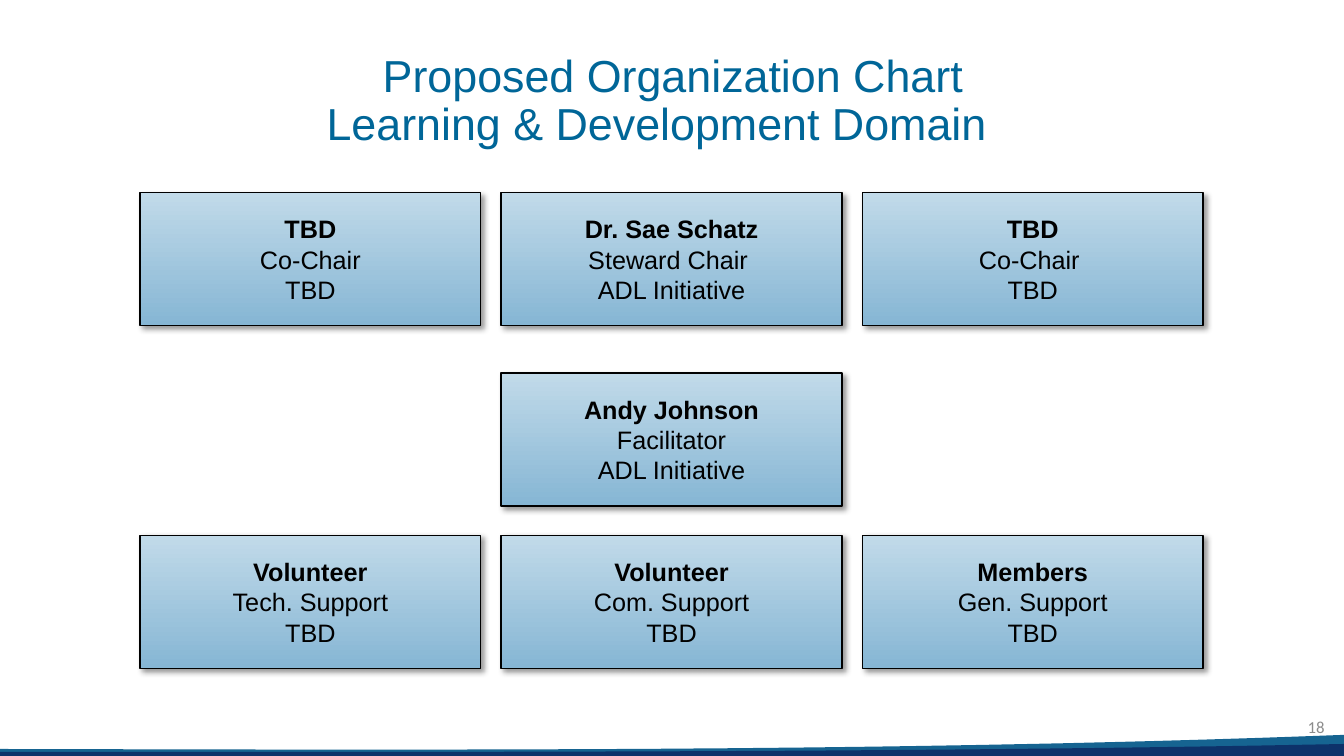
from lxml.etree import SubElement
from pptx import Presentation
from pptx.dml.color import RGBColor
from pptx.enum.shapes import MSO_SHAPE as Shape
from pptx.enum.text import MSO_ANCHOR as Anchor, PP_ALIGN as Align
from pptx.oxml.ns import qn
from pptx.util import Pt

COLORS = {
    "title": "006698", "text": "000000", "number": "8C8C8C",
    "box_bottom": "86B6D4", "box_top": "C1DAE9", "shadow": "000000",
    "wave_light": "166491", "wave_dark": "0D326A",
}
TITLE = ["Proposed Organization Chart ", "Learning & Development Domain\t"]
PAGE_NUMBER = "18"

# Each member: column, name, role, organization
ROWS = [
    (137.5, [(0, "TBD", "Co-Chair", "TBD"),
             (1, "Dr. Sae Schatz", "Steward Chair ", "ADL Initiative"),
             (2, "TBD", "Co-Chair ", "TBD")]),
    (266.4, [(1, "Andy Johnson", "Facilitator", "ADL Initiative")]),
    (382.4, [(0, "Volunteer", "Tech. Support", "TBD"),
             (1, "Volunteer", "Com. Support", "TBD"),
             (2, "Members", "Gen. Support", "TBD")]),
]
# Each wave: colour, heights of the four curve points, bottom
WAVES = [
    ("wave_light", (535, 535.7, 537.1, 524.9), 540),
    ("wave_dark", (537.1, 537.1, 537.8, 531.4), 540),
]
WAVE_X = (0, 314.6, 642.2, 960)
WAVE_STEPS = 48

SLIDE_W, SLIDE_H = 960, 540
BOX_W, BOX_H = 243.4, 95
FIRST_X, COLUMN_PITCH = 100, 258


def rgb(name):
    return RGBColor.from_string(COLORS[name])


def bezier(points, t):
    a, b, c, d = points
    u = 1 - t
    return u**3 * a + 3 * u**2 * t * b + 3 * u * t**2 * c + t**3 * d


def add_wave(slide, color, heights, bottom):
    curve = [(bezier(WAVE_X, i / WAVE_STEPS), bezier(heights, i / WAVE_STEPS))
             for i in range(WAVE_STEPS + 1)]
    points = [(Pt(x), Pt(y)) for x, y in curve + [(SLIDE_W, bottom), (0, bottom)]]
    builder = slide.shapes.build_freeform(*points[0])
    builder.add_line_segments(points[1:], close=True)
    sp = builder.convert_to_shape()
    sp.shadow.inherit = False
    sp.fill.solid()
    sp.fill.fore_color.rgb = rgb(color)
    sp.line.fill.background()


def write_lines(p, lines, color, **font):
    """Write lines, each with its own bold flag, as one paragraph with line breaks."""
    for i, (text, bold) in enumerate(lines):
        if i:
            p.add_line_break()
        r = p.add_run()
        r.text = text
        for name, value in {**font, "bold": bold}.items():
            setattr(r.font, name, value)
        r.font.color.rgb = rgb(color)


def add_label(slide, box, lines, color, align, anchor, **font):
    tf = slide.shapes.add_textbox(*map(Pt, box)).text_frame
    tf.word_wrap = True
    tf.vertical_anchor = anchor
    p = tf.paragraphs[0]
    p.alignment = align
    write_lines(p, [(text, False) for text in lines], color, **font)
    return p


def add_drop_shadow(sp):
    sp.shadow.inherit = False
    effects = sp._element.spPr.find(qn("a:effectLst"))
    shadow = SubElement(effects, qn("a:outerShdw"), blurRad=str(Pt(4)),
                        dist=str(Pt(3)), dir="2700000", algn="tl", rotWithShape="0")
    color = SubElement(shadow, qn("a:srgbClr"), val=COLORS["shadow"])
    SubElement(color, qn("a:alpha"), val="40000")


def add_member(slide, x, y, name, role, organization):
    sp = slide.shapes.add_shape(Shape.RECTANGLE, Pt(x), Pt(y), Pt(BOX_W), Pt(BOX_H))
    sp.fill.gradient()
    sp.fill.gradient_angle = 90
    for stop, color in zip(sp.fill.gradient_stops, ("box_bottom", "box_top")):
        stop.color.rgb = rgb(color)
    sp.line.color.rgb = rgb("text")
    sp.line.width = Pt(1)
    add_drop_shadow(sp)

    tf = sp.text_frame
    frame = {"word_wrap": True, "vertical_anchor": Anchor.MIDDLE,
             "margin_left": Pt(36), "margin_right": Pt(36),
             "margin_top": Pt(7.2), "margin_bottom": Pt(7.2)}
    for key, value in frame.items():
        setattr(tf, key, value)
    p = tf.paragraphs[0]
    p.alignment = Align.CENTER
    p.space_after = Pt(6)
    write_lines(p, [(name, True), (role, False), (organization, False)],
                "text", name="Arial", size=Pt(18))


def main():
    prs = Presentation()
    prs.slide_width, prs.slide_height = Pt(SLIDE_W), Pt(SLIDE_H)
    slide = prs.slides.add_slide(prs.slide_layouts[6])
    for wave in WAVES:
        add_wave(slide, *wave)
    title = add_label(slide, (71.3, 25.2, 828, 95), TITLE, "title", Align.CENTER,
                      Anchor.MIDDLE, name="Arial", size=Pt(32))
    title.line_spacing = 0.9
    for y, members in ROWS:
        for column, *lines in members:
            add_member(slide, FIRST_X + column * COLUMN_PITCH, y, *lines)
    add_label(slide, (921.6, 508.3, 31.7, 27.4), [PAGE_NUMBER], "number", Align.RIGHT,
              Anchor.TOP, name="Calibri", size=Pt(12))
    prs.save("out.pptx")


if __name__ == "__main__":
    main()
